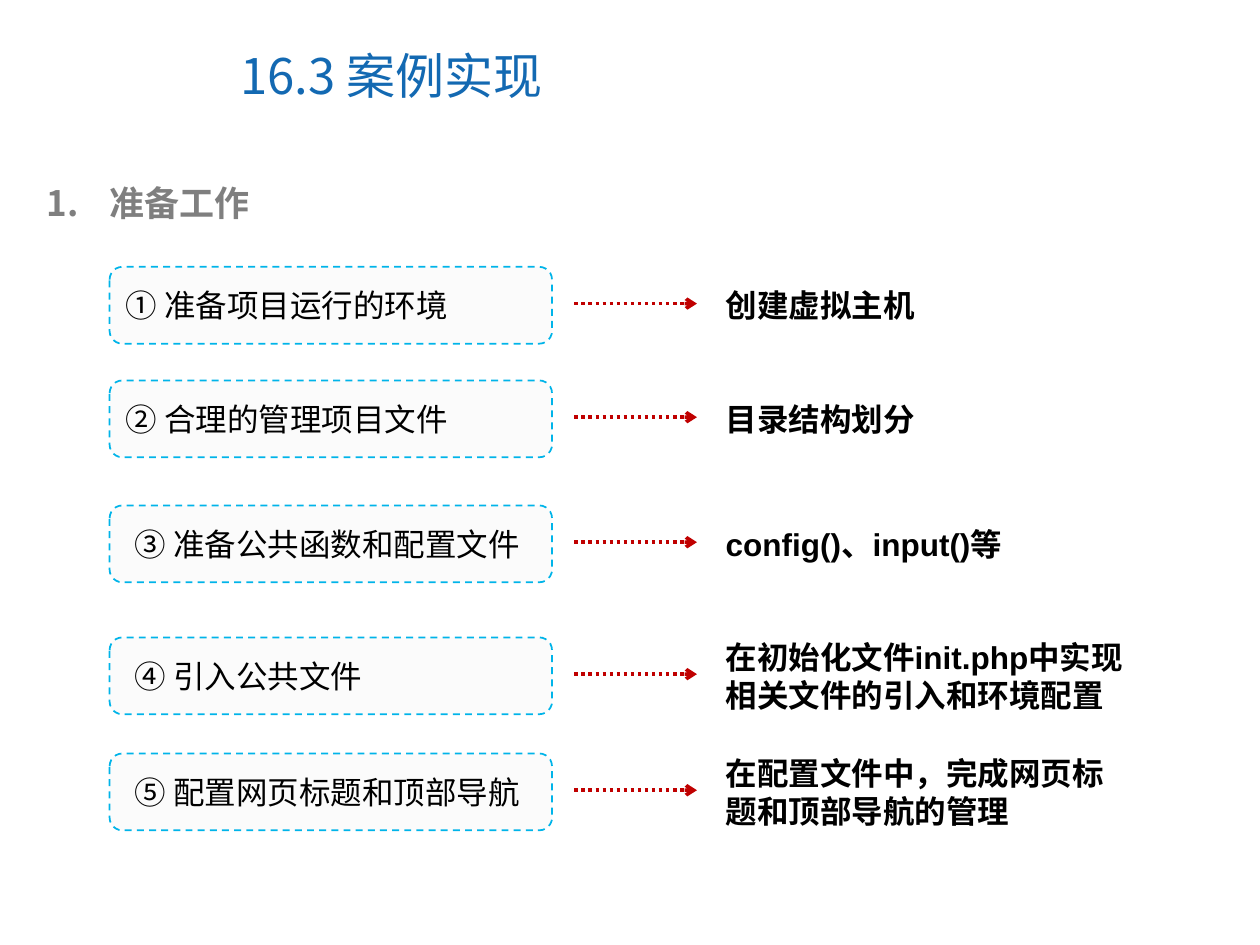
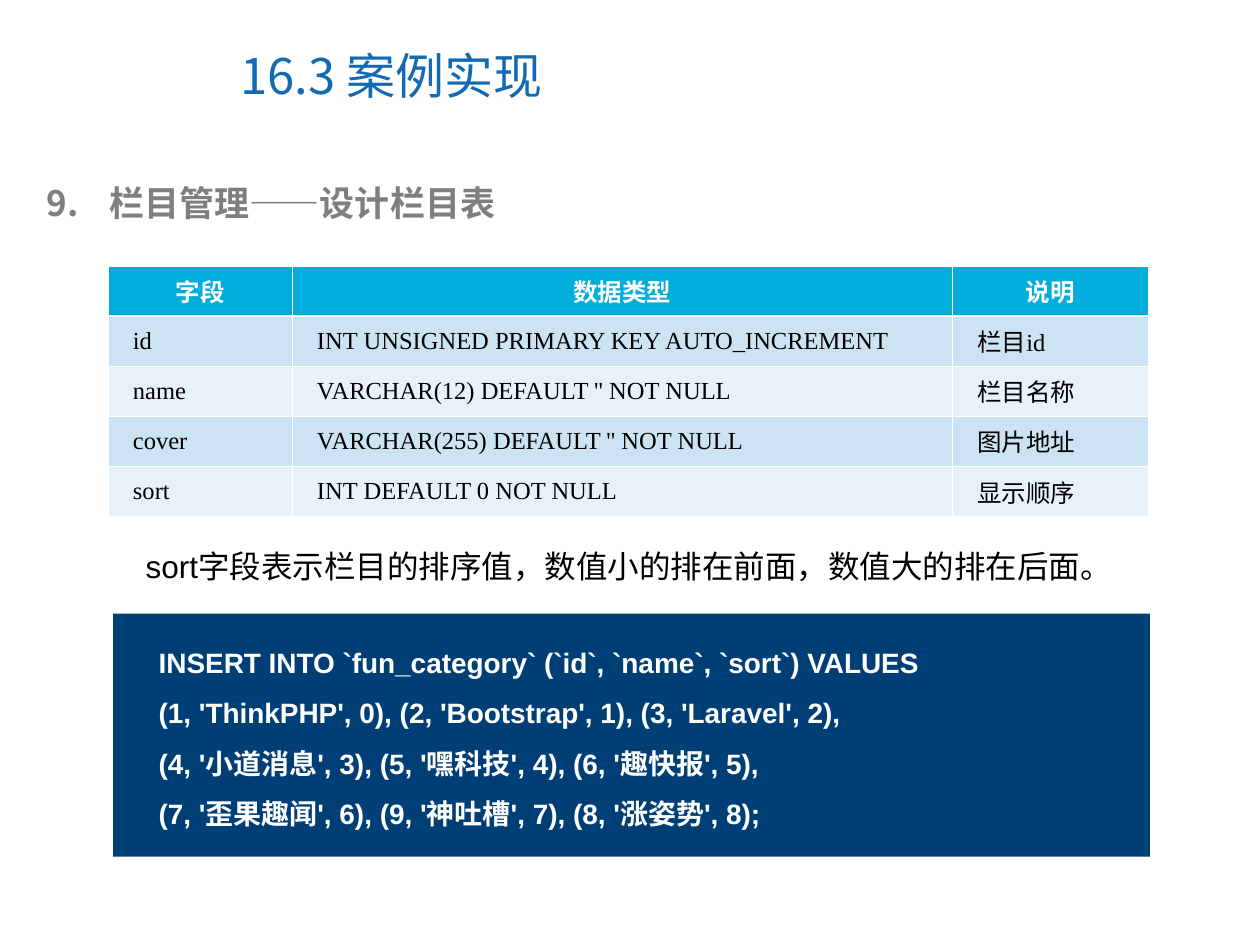
"""Build two lesson slides: preparation steps and the category table design."""
from lxml import etree
from pptx import Presentation
from pptx.dml.color import RGBColor
from pptx.enum.dml import MSO_LINE
from pptx.enum.shapes import MSO_CONNECTOR, MSO_SHAPE
from pptx.enum.text import MSO_ANCHOR, PP_ALIGN
from pptx.oxml.ns import qn
from pptx.util import Cm, Pt

TOP, MIDDLE = MSO_ANCHOR.TOP, MSO_ANCHOR.MIDDLE
LEFT, CENTER, JUSTIFY = PP_ALIGN.LEFT, PP_ALIGN.CENTER, PP_ALIGN.JUSTIFY
DASH, DOT = MSO_LINE.DASH, MSO_LINE.ROUND_DOT
STRAIGHT = MSO_CONNECTOR.STRAIGHT
RECTANGLE, ROUNDED = MSO_SHAPE.RECTANGLE, MSO_SHAPE.ROUNDED_RECTANGLE

CJK, SANS, SERIF = "Noto Sans CJK SC", "Arial", "Times New Roman"
BLUE, GRAY, BLACK, WHITE = "1369B2", "7F7F7F", "000000", "FFFFFF"
CYAN, PALE, RED, NAVY = "00B4E9", "FBFBFB", "C00000", "003F75"
HEADER, BAND_DARK, BAND_LIGHT = "00ADDC", "CBE3F2", "E7F1F9"

TITLE = "16.3 案例实现"
STEPS = [
    (5.38, 0.25, "① 准备项目运行的环境", "创建虚拟主机"),
    (7.67, 0.25, "② 合理的管理项目文件", "目录结构划分"),
    (10.19, 0.43, "③ 准备公共函数和配置文件", "config()、input()等"),
    (12.85, 0.43, "④ 引入公共文件", "在初始化文件init.php中实现相关文件的引入和环境配置"),
    (15.19, 0.43, "⑤ 配置网页标题和顶部导航", "在配置文件中，完成网页标题和顶部导航的管理"),
]
FIELDS = [
    ("字段", "数据类型", "说明"),
    ("id", "INT UNSIGNED PRIMARY KEY AUTO_INCREMENT", "栏目id"),
    ("name", "VARCHAR(12) DEFAULT '' NOT NULL", "栏目名称"),
    ("cover", "VARCHAR(255) DEFAULT '' NOT NULL", "图片地址"),
    ("sort", "INT DEFAULT 0 NOT NULL", "显示顺序"),
]
SORT_NOTE = "sort字段表示栏目的排序值，数值小的排在前面，数值大的排在后面。"
INSERT_CODE = """INSERT INTO `fun_category` (`id`, `name`, `sort`) VALUES
(1, 'ThinkPHP', 0), (2, 'Bootstrap', 1), (3, 'Laravel', 2),
(4, '小道消息', 3), (5, '嘿科技', 4), (6, '趣快报', 5),
(7, '歪果趣闻', 6), (9, '神吐槽', 7), (8, '涨姿势', 8);"""


def rgb(value):
    """Return the colour for a hex string."""
    return RGBColor.from_string(value)


def write(text_frame, text, size, color, font=SANS, bold=False, align=LEFT, spacing=1.0):
    """Fill a text frame and format all its runs alike."""
    text_frame.text = text
    for paragraph in text_frame.paragraphs:
        paragraph.alignment = align
        paragraph.line_spacing = spacing
        for run in paragraph.runs:
            run.font.size, run.font.bold = Pt(size), bold
            run.font.color.rgb = rgb(color)
            run.font.name = font
            east_asian = etree.SubElement(run.font._element, qn("a:ea"))
            east_asian.set("typeface", CJK)


def add_text(slide, box, text, size, color, anchor=TOP, **style):
    """Add a wrapping text box at box, given in centimetres."""
    shape = slide.shapes.add_textbox(*map(Cm, box))
    shape.text_frame.word_wrap = True
    shape.text_frame.vertical_anchor = anchor
    write(shape.text_frame, text, size, color, **style)
    return shape


def add_panel(slide, kind, box, fill):
    """Add a filled shape without outline or shadow."""
    shape = slide.shapes.add_shape(kind, *map(Cm, box))
    shape.shadow.inherit = False
    shape.fill.solid()
    shape.fill.fore_color.rgb = rgb(fill)
    shape.line.fill.background()
    return shape


def add_heading(slide, number, text):
    """Add the numbered section heading."""
    shape = add_text(slide, (0.69, 3.53, 23.42, 1.12), text, 20, GRAY, font=CJK, bold=True)
    properties = shape.text_frame.paragraphs[0]._p.get_or_add_pPr()
    properties.set("marL", str(Cm(1.27)))
    properties.set("indent", str(-Cm(1.27)))
    bullet_color = etree.SubElement(properties, qn("a:buClr"))
    etree.SubElement(bullet_color, qn("a:srgbClr")).set("val", GRAY)
    bullet = etree.SubElement(properties, qn("a:buAutoNum"))
    bullet.set("type", "arabicPeriod")
    bullet.set("startAt", str(number))


def add_lesson_slide(presentation, number, heading):
    """Add a blank slide with the shared title and a numbered heading."""
    slide = presentation.slides.add_slide(presentation.slide_layouts[6])
    add_text(slide, (4.6, 0.43, 13.11, 2.16), TITLE, 28, BLUE, anchor=MIDDLE, font=CJK)
    add_heading(slide, number, heading)
    return slide


def add_arrow(slide, start, end, y):
    """Add a dotted horizontal arrow."""
    connector = slide.shapes.add_connector(STRAIGHT, Cm(start), Cm(y), Cm(end), Cm(y))
    connector.line.color.rgb = rgb(RED)
    connector.line.width = Pt(2)
    connector.line.dash_style = DOT
    etree.SubElement(connector.line._get_or_add_ln(), qn("a:tailEnd")).set("type", "arrow")
    etree.SubElement(connector._element.spPr, qn("a:effectLst"))


def add_step(slide, left, top, inset, task, result):
    """Add one step: dashed box, arrow and the resulting action."""
    width, height = 8.92, 1.55
    box = add_panel(slide, ROUNDED, (left, top, width, height), PALE)
    box.line.color.rgb = rgb(CYAN)
    box.line.width = Pt(1)
    box.line.dash_style = DASH
    box.text_frame.word_wrap = True
    box.text_frame.margin_left = Cm(inset)
    box.text_frame.vertical_anchor = MIDDLE
    write(box.text_frame, task, 18, BLACK)
    right = left + width
    add_arrow(slide, right + 0.45, right + 2.92, top + 0.74)
    add_text(slide, (right + 3.25, top - 0.1, 8.75, 1.75), result, 18, BLACK,
             anchor=MIDDLE, bold=True)


def set_borders(cell, row):
    """Give a cell white borders, thicker under the header row."""
    properties = cell._tc.get_or_add_tcPr()
    thick_sides = {0: "lnB", 1: "lnT"}
    for side in ("lnL", "lnR", "lnT", "lnB"):
        width = 1.47 if thick_sides.get(row) == side else 0.45
        border = etree.SubElement(properties, qn(f"a:{side}"), w=str(Pt(width)))
        fill = etree.SubElement(border, qn("a:solidFill"))
        etree.SubElement(fill, qn("a:srgbClr")).set("val", WHITE)


def add_field_table(slide, left, top):
    """Add the table of database fields."""
    widths, row_height = (3.71, 13.31, 3.94), 1.01
    frame = slide.shapes.add_table(len(FIELDS), len(widths), Cm(left), Cm(top),
                                   Cm(sum(widths)), Cm(row_height * len(FIELDS)))
    table = frame.table
    table.first_row = table.horz_banding = False
    for column, width in zip(table.columns, widths):
        column.width = Cm(width)
    for row, values in enumerate(FIELDS):
        table.rows[row].height = Cm(row_height)
        is_header = row == 0
        fill = HEADER if is_header else (BAND_LIGHT, BAND_DARK)[row % 2]
        for column, value in enumerate(values):
            cell = table.cell(row, column)
            set_borders(cell, row)
            cell.fill.solid()
            cell.fill.fore_color.rgb = rgb(fill)
            cell.vertical_anchor = MIDDLE
            cell.margin_left = Cm(0.2 if is_header else 0.5)
            cell.margin_right = Cm(0.2)
            write(cell.text_frame, value, 14, WHITE if is_header else BLACK, font=SERIF,
                  bold=is_header, align=CENTER if is_header else JUSTIFY)


def add_code_panel(slide, left, top):
    """Add the navy panel with the insert statement."""
    add_panel(slide, RECTANGLE, (left, top, 20.9, 4.9), NAVY)
    add_text(slide, (left + 0.67, top + 0.18, 18.8, 4.32), INSERT_CODE, 16, WHITE,
             bold=True, spacing=1.5)


def build_preparation_slide(presentation):
    """Build the slide with the five preparation steps."""
    slide = add_lesson_slide(presentation, 1, "准备工作")
    for step in STEPS:
        add_step(slide, 2.21, *step)


def build_category_slide(presentation):
    """Build the slide with the category table and its data."""
    slide = add_lesson_slide(presentation, 9, "栏目管理——设计栏目表")
    add_field_table(slide, 2.18, 5.36)
    add_text(slide, (2.21, 10.9, 20.93, 1.02), SORT_NOTE, 18, BLACK, align=CENTER)
    add_code_panel(slide, 2.28, 12.37)


def main():
    """Build and save the presentation."""
    presentation = Presentation()
    presentation.slide_width, presentation.slide_height = Cm(25.4), Cm(19.05)
    build_preparation_slide(presentation)
    build_category_slide(presentation)
    presentation.save("out.pptx")


if __name__ == "__main__":
    main()
